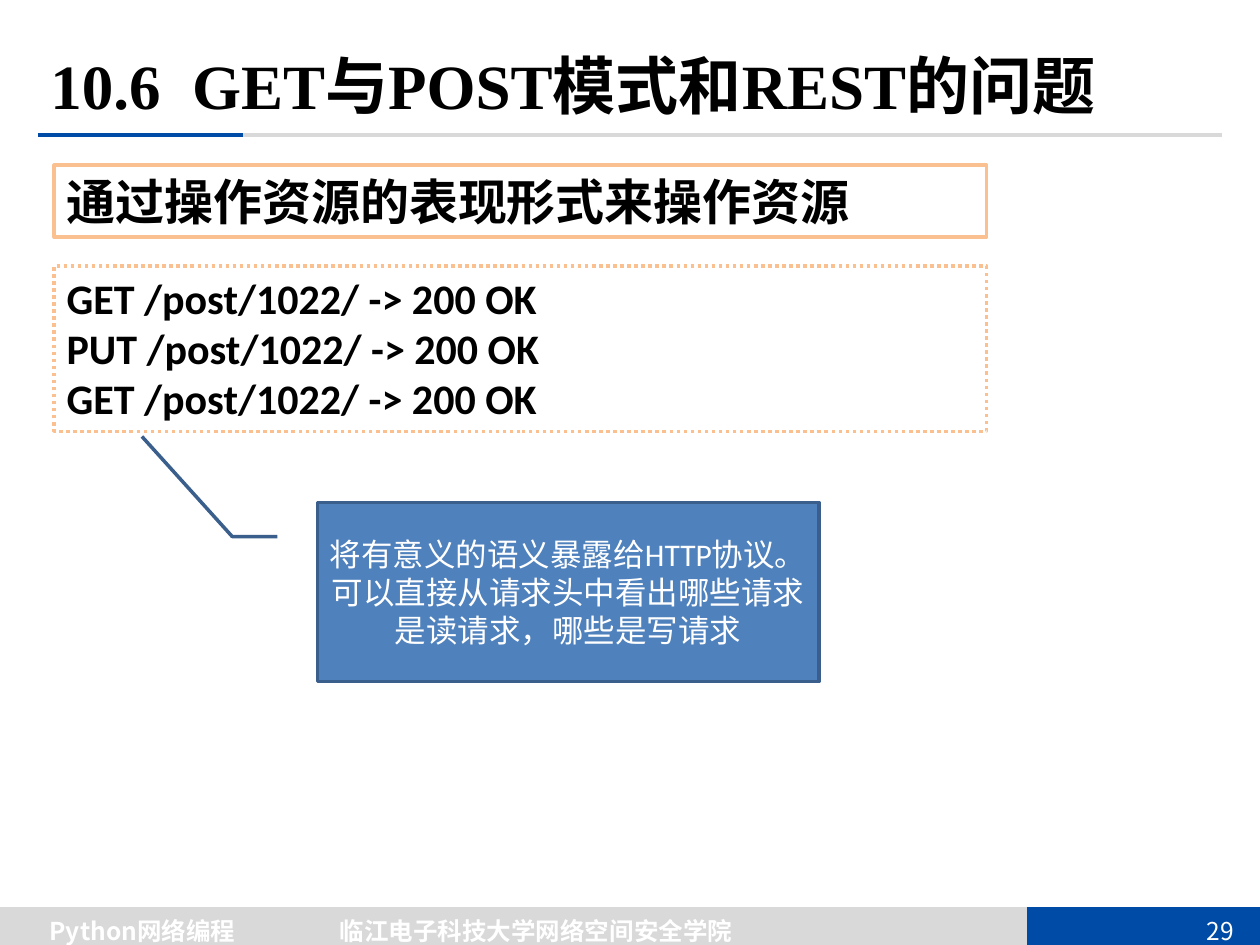
from pptx import Presentation
from pptx.dml.color import RGBColor
from pptx.enum.dml import MSO_LINE
from pptx.enum.shapes import MSO_CONNECTOR, MSO_SHAPE
from pptx.enum.text import MSO_ANCHOR, MSO_AUTO_SIZE, PP_ALIGN
from pptx.oxml.ns import qn
from pptx.util import Pt
from lxml import etree

BLACK = RGBColor(0x00, 0x00, 0x00)
WHITE = RGBColor(0xFF, 0xFF, 0xFF)
GREY = RGBColor(0xD9, 0xD9, 0xD9)
NAVY = RGBColor(0x00, 0x4B, 0xA6)
PEACH = RGBColor(0xFA, 0xC0, 0x90)
BLUE = RGBColor(0x4F, 0x81, 0xBD)
DARK_BLUE = RGBColor(0x3A, 0x5F, 0x8C)


def write(shape, lines, font, size, color, bold, align, anchor):
    frame = shape.text_frame
    frame.word_wrap = True
    frame.auto_size = MSO_AUTO_SIZE.NONE
    frame.vertical_anchor = anchor
    frame.text = "\n".join(lines)
    for para in frame.paragraphs:
        para.alignment = align
        para.font.name = font
        para.font.size = Pt(size)
        para.font.bold = bold
        para.font.color.rgb = color


def add_panel(kind, left, top, width, height, fill, outline):
    panel = page.shapes.add_shape(kind, Pt(left), Pt(top), Pt(width), Pt(height))
    panel.shadow.inherit = False
    panel.fill.solid()
    panel.fill.fore_color.rgb = fill
    panel.line.color.rgb = outline
    panel.line.width = Pt(2)
    return panel


deck = Presentation()
deck.slide_width, deck.slide_height = Pt(720), Pt(540)
page = deck.slides.add_slide(deck.slide_layouts[5])

rules = [
    (0, 717, 530.6, GREY, 25),
    (587, 720, 530.6, NAVY, 25),
    (21.6, 698.4, 77, GREY, 2.25),
    (21.6, 139, 77, NAVY, 2.25),
]
for start, end, y, color, weight in rules:
    rule = page.shapes.add_connector(MSO_CONNECTOR.STRAIGHT, Pt(start), Pt(y), Pt(end), Pt(y))
    rule.line.color.rgb = color
    rule.line.width = Pt(weight)
    etree.SubElement(rule._element.spPr, qn("a:effectLst"))

footers = [
    (0, 163, "Python网络编程", True),
    (144.7, 323.3, "临江电子科技大学网络空间安全学院", True),
    (677.5, 39.6, "29", False),
]
for left, width, label, bold in footers:
    box = page.shapes.add_textbox(Pt(left), Pt(519.6), Pt(width), Pt(24.4))
    write(box, [label], "Noto Sans CJK SC", 14, WHITE, bold, PP_ALIGN.CENTER, MSO_ANCHOR.MIDDLE)

title = page.shapes.title
title.left, title.top, title.width, title.height = Pt(21.6), Pt(20.2), Pt(662.4), Pt(55.4)
write(title, ["10.6  GET与POST模式和REST的问题"], "Times New Roman", 36, BLACK, True,
      PP_ALIGN.LEFT, MSO_ANCHOR.MIDDLE)

heading = add_panel(MSO_SHAPE.RECTANGLE, 31, 94.3, 532.8, 41.2, WHITE, PEACH)
write(heading, ["通过操作资源的表现形式来操作资源"], "Calibri", 28, BLACK, True,
      PP_ALIGN.LEFT, MSO_ANCHOR.TOP)

requests = add_panel(MSO_SHAPE.RECTANGLE, 31, 152, 532.8, 94.5, WHITE, PEACH)
requests.line.dash_style = MSO_LINE.ROUND_DOT
write(requests, [f"{verb} /post/1022/ -> 200 OK" for verb in ("GET", "PUT", "GET")],
      "Calibri", 24, BLACK, True, PP_ALIGN.LEFT, MSO_ANCHOR.TOP)

callout = add_panel(MSO_SHAPE.LINE_CALLOUT_2, 181.4, 287.2, 286.6, 102.2, BLUE, DARK_BLUE)
for index, value in enumerate((0.19, -0.08, 0.19, -0.17, -0.37, -0.35)):
    callout.adjustments[index] = value
write(callout, ["将有意义的语义暴露给HTTP协议。可以直接从请求头中看出哪些请求是读请求，哪些是写请求"],
      "Calibri", 18, WHITE, False, PP_ALIGN.CENTER, MSO_ANCHOR.MIDDLE)

deck.save("out.pptx")
